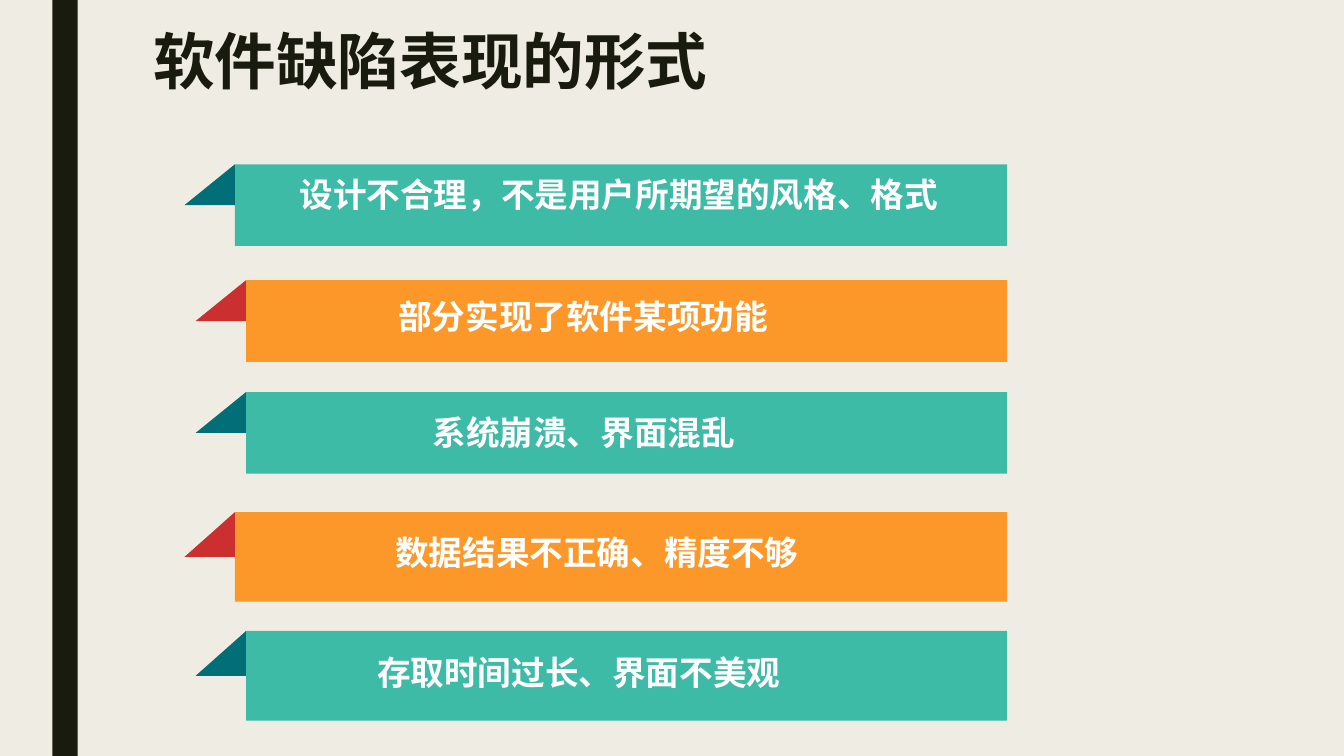
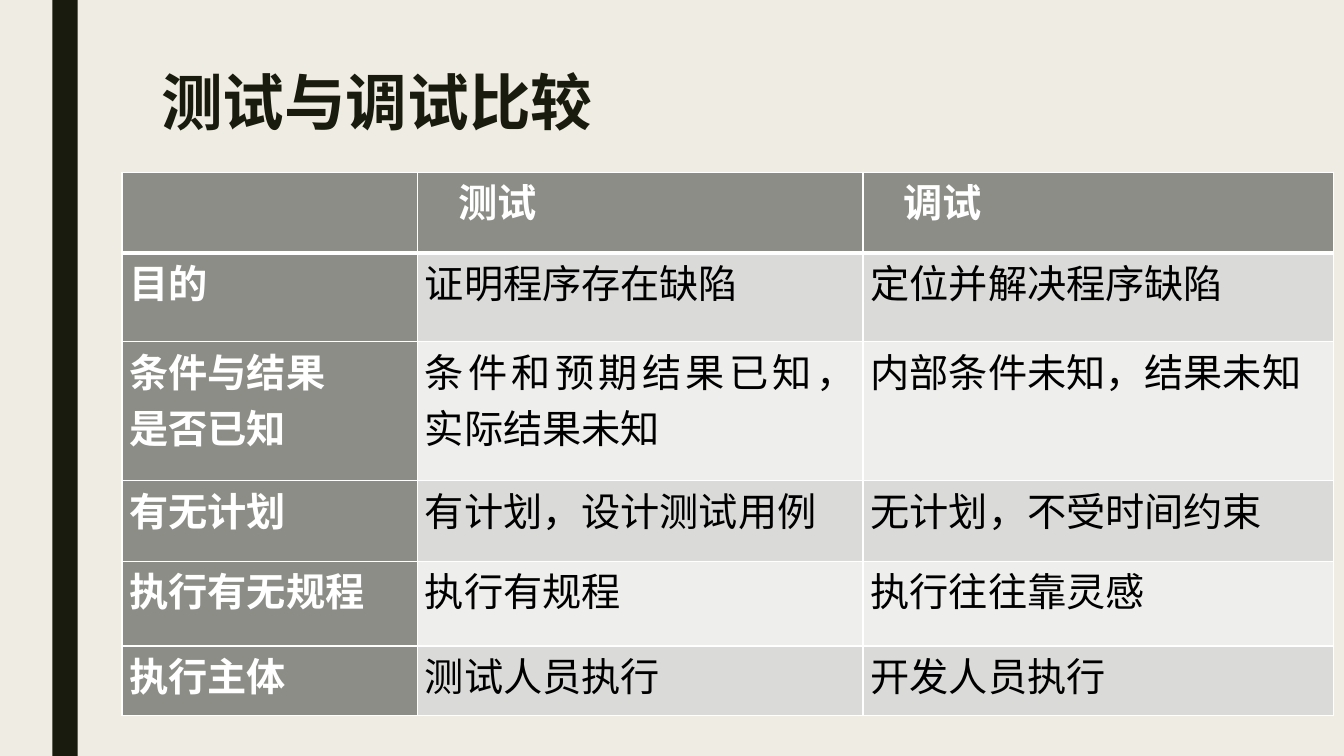
import pptx
import pptx.dml.color
import pptx.enum.shapes
import pptx.enum.text
import pptx.oxml
import pptx.oxml.ns
import pptx.util

Inches = pptx.util.Inches
Pt = pptx.util.Pt
SHAPES = pptx.enum.shapes.MSO_SHAPE
ALIGN = pptx.enum.text.PP_ALIGN
TOP = pptx.enum.text.MSO_ANCHOR.TOP

PAPER, INK, WHITE, BLACK = "EFEDE3", "191B0E", "FFFFFF", "000000"
TEAL, ORANGE = ("3DBBA6", "026E77"), ("FC982A", "CC2F2F")
HEADER_GREY, ROW_GREYS = "8C8D86", ("DADBD9", "EEEEED")
LATIN, CHINESE = "Roboto", "Noto Sans CJK SC"

RIBBON_RIGHT, FOLD_WIDTH = 9.99, 0.5
RIBBONS = [
    ("设计不合理，不是用户所期望的风格、格式", TEAL, 2.33, 1.63, 0.81, 2.97, 0.1),
    ("部分实现了软件某项功能", ORANGE, 2.44, 2.78, 0.81, 3.95, 0.16),
    ("系统崩溃、界面混乱", TEAL, 2.44, 3.89, 0.81, 4.29, 0.2),
    ("数据结果不正确、精度不够", ORANGE, 2.33, 5.08, 0.89, 3.92, 0.2),
    ("存取时间过长、界面不美观", TEAL, 2.44, 6.26, 0.89, 3.74, 0.21),
]

COLUMN_WIDTHS = [2.93, 4.42, 4.67]
ROW_HEIGHTS = [0.8, 0.88, 1.38, 0.8, 0.84, 0.69]
COMPARISON = [
    ["", "测试", "调试"],
    ["目的", "证明程序存在缺陷", "定位并解决程序缺陷"],
    ["条件与结果\n是否已知", "条件和预期结果已知，实际结果未知", "内部条件未知，结果未知"],
    ["有无计划", "有计划，设计测试用例", "无计划，不受时间约束"],
    ["执行有无规程", "执行有规程", "执行往往靠灵感"],
    ["执行主体", "测试人员执行", "开发人员执行"],
]


def paint(color_format, color):
    """Give a fill or font colour its hex value."""
    color_format.rgb = pptx.dml.color.RGBColor.from_string(color)


def fill_solid(fill, color):
    """Make a fill one plain colour."""
    fill.solid()
    paint(fill.fore_color, color)


def set_margins(frame, left, top, right, bottom):
    """Set the inner margins of a text frame or table cell."""
    frame.margin_left, frame.margin_top = left, top
    frame.margin_right, frame.margin_bottom = right, bottom


def add_text(paragraph, text, size, color, font_name, bold=True):
    """Add one styled run to a paragraph."""
    run = paragraph.add_run()
    run.text = text
    font = run.font
    font.name, font.size, font.bold = font_name, Pt(size), bold
    paint(font.color, color)
    east_asian = pptx.oxml.parse_xml(
        f'<a:ea {pptx.oxml.ns.nsdecls("a")} typeface="{CHINESE}"/>')
    font._element.find(pptx.oxml.ns.qn("a:latin")).addnext(east_asian)


def add_block(slide, kind, color, left, top, width, height):
    """Add a flat preset shape without outline or shadow."""
    shape = slide.shapes.add_shape(
        kind, Inches(left), Inches(top), Inches(width), Inches(height))
    shape.shadow.inherit = False
    fill_solid(shape.fill, color)
    shape.line.fill.background()
    return shape


def add_base_slide(presentation, title, left, top):
    """Add a slide with the shared background, side bar and title."""
    slide = presentation.slides.add_slide(presentation.slide_layouts[6])
    fill_solid(slide.background.fill, PAPER)
    add_block(slide, SHAPES.RECTANGLE, INK, 0.52, 0, 0.25, 7.5)
    box = slide.shapes.add_textbox(Inches(left), Inches(top), Inches(10.5), Inches(0.62))
    frame = box.text_frame
    frame.word_wrap = True
    frame.vertical_anchor = TOP
    set_margins(frame, Inches(0.1), 0, Inches(0.1), 0)
    paragraph = frame.paragraphs[0]
    paragraph.line_spacing = 0.89
    add_text(paragraph, title, 44, INK, LATIN)
    return slide


def add_ribbon(slide, text, colors, left, top, height, text_left, text_drop):
    """Add a labelled band with a folded corner at its upper left."""
    band_color, fold_color = colors
    band = add_block(slide, SHAPES.RECTANGLE, band_color,
                     left, top, RIBBON_RIGHT - left, height)
    frame = band.text_frame
    frame.word_wrap = True
    frame.vertical_anchor = TOP
    set_margins(frame, Inches(text_left - left), Inches(text_drop), 0, 0)
    paragraph = frame.paragraphs[0]
    paragraph.alignment = ALIGN.LEFT
    add_text(paragraph, text, 24, WHITE, CHINESE)
    fold_height = height / 2
    fold = add_block(slide, SHAPES.RIGHT_TRIANGLE, fold_color,
                     left - (FOLD_WIDTH + fold_height) / 2,
                     top + (fold_height - FOLD_WIDTH) / 2,
                     fold_height, FOLD_WIDTH)
    fold.rotation = 270


def set_borders(cell, widths):
    """Draw white cell borders with a width in points for each side."""
    properties = cell._tc.get_or_add_tcPr()
    for position, (side, width) in enumerate(widths.items()):
        properties.insert(position, pptx.oxml.parse_xml(
            f'<a:{side} {pptx.oxml.ns.nsdecls("a")} w="{Pt(width)}"><a:solidFill>'
            f'<a:srgbClr val="{WHITE}"/></a:solidFill></a:{side}>'))


def fill_cell(cell, text, row, column):
    """Style one comparison cell by its place and write its lines."""
    heading = row == 0 or column == 0
    fill_solid(cell.fill, HEADER_GREY if heading else ROW_GREYS[(row - 1) % 2])
    set_borders(cell, {"lnL": 1, "lnR": 1, "lnT": 3 if row == 1 else 1,
                       "lnB": 3 if row == 0 else 1})
    set_margins(cell, Pt(5.4), 0, Pt(5.4), 0)
    cell.vertical_anchor = TOP
    if not text:
        return
    for index, line in enumerate(text.split("\n")):
        frame = cell.text_frame
        paragraph = frame.add_paragraph() if index else frame.paragraphs[0]
        if row == 0:
            paragraph._p.get_or_add_pPr().set("indent", str(Inches(0.33)))
        else:
            paragraph.alignment = ALIGN.JUSTIFY
        add_text(paragraph, line, 28, WHITE if heading else BLACK, LATIN, heading)


def add_comparison(slide, left, top):
    """Add the comparison table at a given corner."""
    table = slide.shapes.add_table(
        len(ROW_HEIGHTS), len(COLUMN_WIDTHS), Inches(left), Inches(top),
        Inches(sum(COLUMN_WIDTHS)), Inches(sum(ROW_HEIGHTS))).table
    for column, width in zip(table.columns, COLUMN_WIDTHS):
        column.width = Inches(width)
    for row, height in zip(table.rows, ROW_HEIGHTS):
        row.height = Inches(height)
    for row, texts in enumerate(COMPARISON):
        for column, text in enumerate(texts):
            fill_cell(table.cell(row, column), text, row, column)


def main():
    """Build and save both slides."""
    presentation = pptx.Presentation()
    presentation.slide_width, presentation.slide_height = Inches(13.33), Inches(7.5)
    defects = add_base_slide(presentation, "软件缺陷表现的形式", 1.42, 0.32)
    for ribbon in RIBBONS:
        add_ribbon(defects, *ribbon)
    comparison = add_base_slide(presentation, "测试与调试比较", 1.5, 0.72)
    add_comparison(comparison, 1.21, 1.71)
    presentation.save("out.pptx")


if __name__ == "__main__":
    main()
